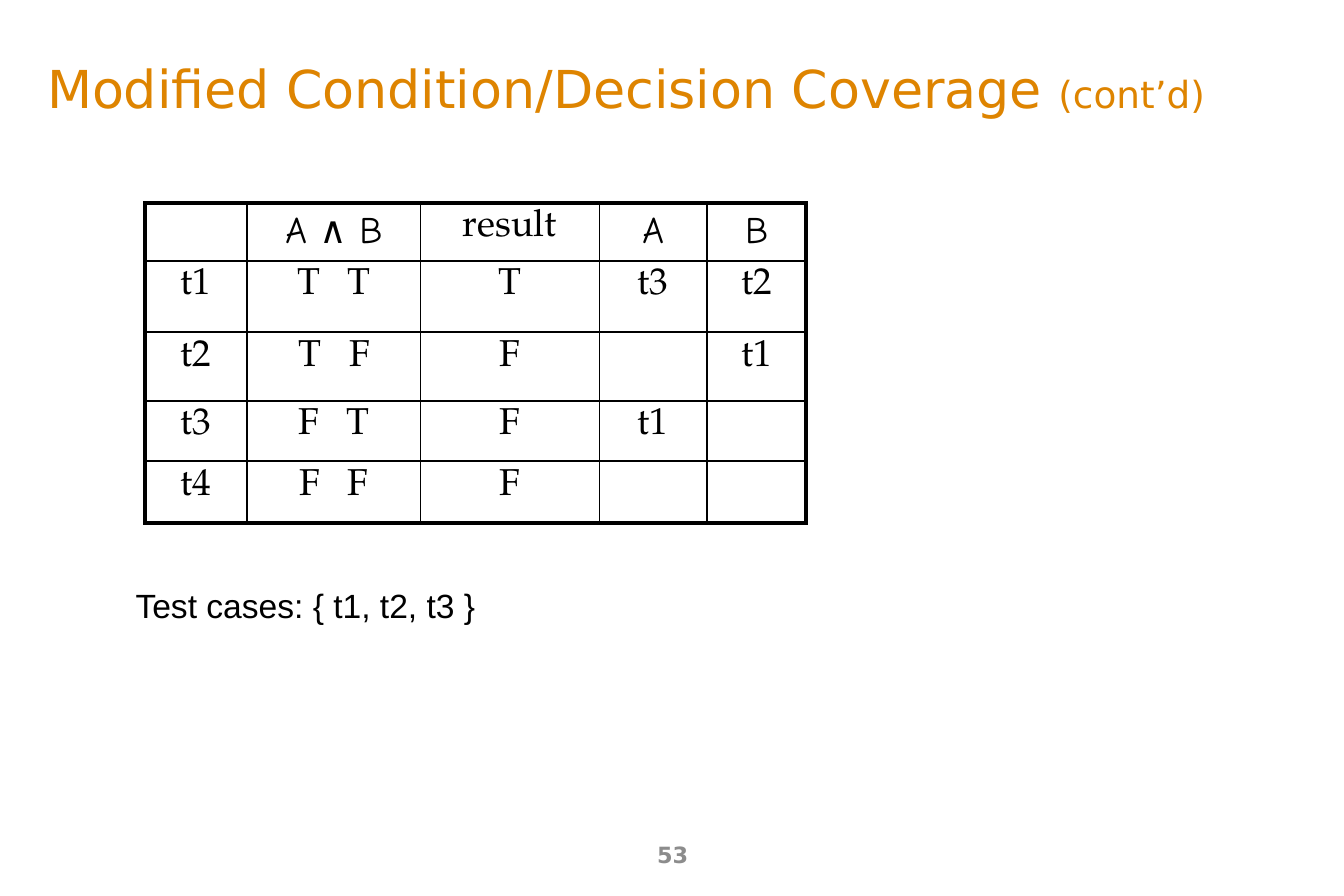
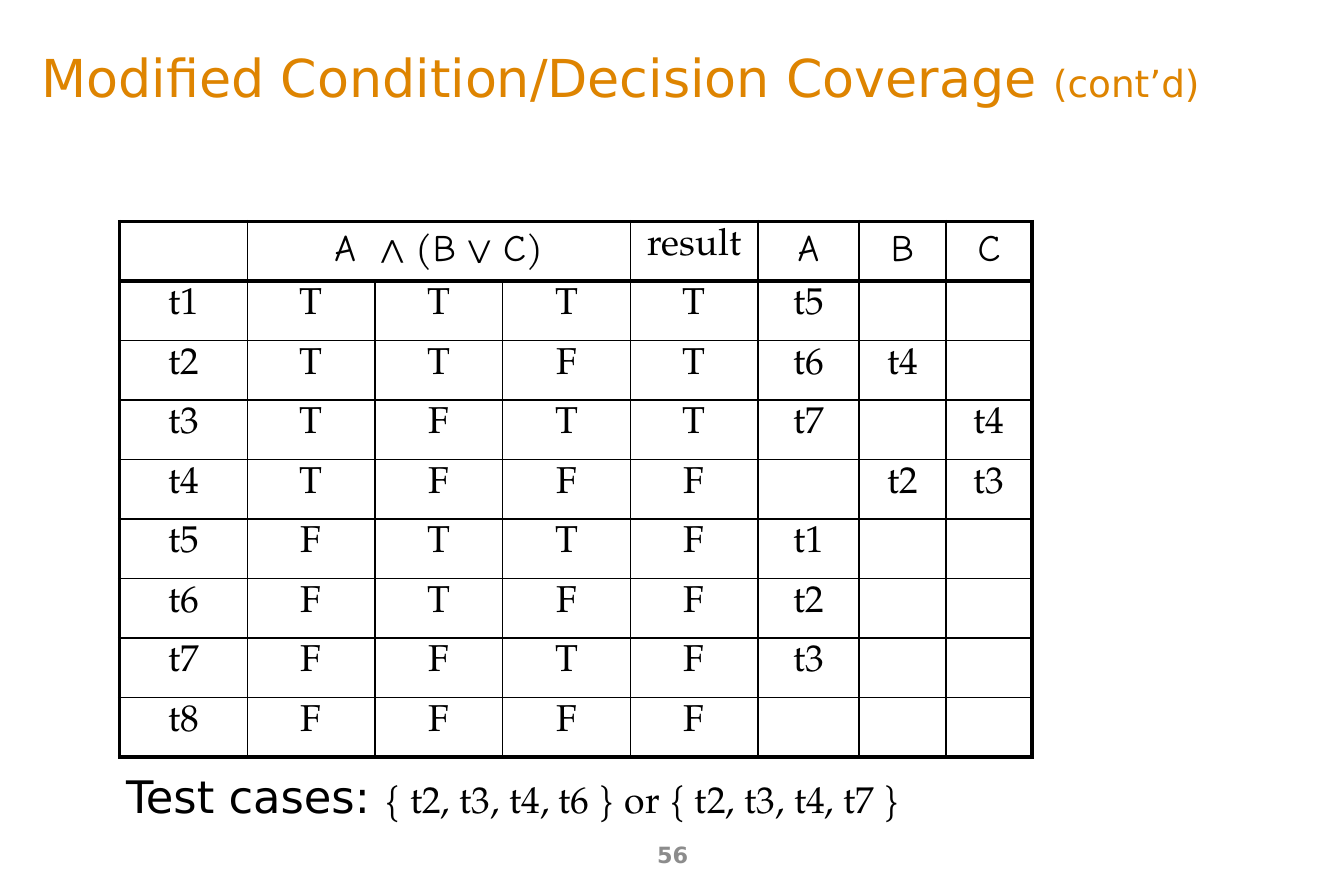
from typing import NamedTuple

from lxml import etree
from pptx import Presentation
from pptx.dml.color import RGBColor
from pptx.enum import text
from pptx.oxml import ns
from pptx.util import Inches, Pt

BLACK, ORANGE, GREY = "000000", "DE8400", "8C8C8C"
SANS, HAND, SERIF, PLAIN = "DejaVu Sans", "Comic Neue", "TeX Gyre Pagella", "Arial"
TITLE_ONLY = 5
THIN, THICK = 1, 2.25
CENTER = text.PP_ALIGN.CENTER


class Frame(NamedTuple):
    left: float
    top: float
    width: float
    height: float

    def lengths(self) -> list:
        return [Inches(value) for value in self]


class Span(NamedTuple):
    text: str
    size: float = 20
    font: str = SERIF
    color: str = BLACK
    bold: bool = False
    tracking: float = 0  # extra points after each letter


class TruthTable(NamedTuple):
    left: float
    top: float
    columns: list[float]
    rows: list[float]
    cells: list[list]  # each cell is a plain string or a list of spans
    header_rule: float = THIN
    merged: tuple[int, int] | None = None  # first and last header column to join


class CoveragePage(NamedTuple):
    number: str
    title_frame: Frame
    table: TruthTable
    cases_frame: Frame
    cases: list[Span]


NUMBER_FRAME = Frame(3.42, 6.18, 3.17, 0.36)
TITLE = [
    Span("Modified Condition/Decision Coverage ", 28, SANS, ORANGE),
    Span("(cont’d)", 20, SANS, ORANGE),
]


def hand(letters: str) -> list[Span]:
    return [Span(letters, font=HAND)]


def pair(first: str, second: str) -> list[Span]:
    """Two truth values set apart by one widened space."""
    return [Span(first), Span(" ", tracking=10), Span(second)]


PAGES = [
    CoveragePage(
        "53",
        Frame(0.25, 0.27, 9.46, 0.76),
        TruthTable(
            1.08, 1.51,
            [0.76, 1.29, 1.33, 0.8, 0.74],
            [0.39, 0.53, 0.51, 0.45, 0.46],
            [
                ["", hand("A ∧ B"), "result", hand("A"), hand("B")],
                ["t1", pair("T", "T"), "T", "t3", "t2"],
                ["t2", pair("T", "F"), "F", "", "t1"],
                ["t3", pair("F", "T"), "F", "t1", ""],
                ["t4", pair("F", "F"), "F", "", ""],
            ],
        ),
        Frame(0.91, 4.34, 4.95, 0.37),
        [Span("Test cases: { t1, t2, t3 }", 18, PLAIN)],
    ),
    CoveragePage(
        "56",
        Frame(0.21, 0.27, 9.51, 0.6),
        TruthTable(
            0.89, 1.65,
            [0.95] * 5 + [0.75, 0.65, 0.64],
            [0.443] * 9,
            [
                ["", hand("A ") + [Span(" ∧ (")] + hand("B") + [Span(" ∨ ")]
                 + hand("C") + [Span(")")], "", "", "result",
                 hand("A"), hand("B"), hand("C")],
                ["t1", "T", "T", "T", "T", "t5", "", ""],
                ["t2", "T", "T", "F", "T", "t6", "t4", ""],
                ["t3", "T", "F", "T", "T", "t7", "", "t4"],
                ["t4", "T", "F", "F", "F", "", "t2", "t3"],
                ["t5", "F", "T", "T", "F", "t1", "", ""],
                ["t6", "F", "T", "F", "F", "t2", "", ""],
                ["t7", "F", "F", "T", "F", "t3", "", ""],
                ["t8", "F", "F", "F", "F", "", "", ""],
            ],
            header_rule=THICK,
            merged=(1, 3),
        ),
        Frame(0.84, 5.72, 8.38, 0.46),
        [Span("Test cases: ", 24, SANS),
         Span("{ t2, t3, t4, t6 } or { t2, t3, t4, t7 }")],
    ),
]


def rgb(value: str) -> RGBColor:
    return RGBColor.from_string(value)


def write(para, spans: list[Span], align=text.PP_ALIGN.LEFT) -> None:
    para.alignment = align
    for span in spans:
        run = para.add_run()
        run.text = span.text
        run.font.size = Pt(span.size)
        run.font.name = span.font
        run.font.bold = span.bold
        run.font.color.rgb = rgb(span.color)
        if span.tracking:
            run.font._element.set("spc", str(int(span.tracking * 100)))


def add_text(page, frame: Frame, spans: list[Span], align=text.PP_ALIGN.LEFT,
             anchor=text.MSO_ANCHOR.TOP):
    """Add a wrapping text box and return its paragraph."""
    box = page.shapes.add_textbox(*frame.lengths())
    box.text_frame.word_wrap = True
    box.text_frame.vertical_anchor = anchor
    para = box.text_frame.paragraphs[0]
    write(para, spans, align)
    return para


def add_title(page, frame: Frame) -> None:
    title = page.shapes.title
    title.left, title.top, title.width, title.height = frame.lengths()
    title.text_frame.auto_size = text.MSO_AUTO_SIZE.NONE
    title.text_frame.vertical_anchor = text.MSO_ANCHOR.MIDDLE
    write(title.text_frame.paragraphs[0], TITLE)


def set_borders(cell, widths: dict[str, float]) -> None:
    """Draw black cell edges; keys are L, R, T and B in that order."""
    properties = cell._tc.get_or_add_tcPr()
    for side, width in widths.items():
        line = etree.SubElement(properties, ns.qn(f"a:ln{side}"), w=str(Pt(width)))
        fill = etree.SubElement(line, ns.qn("a:solidFill"))
        etree.SubElement(fill, ns.qn("a:srgbClr"), val=BLACK)


def add_truth_table(page, spec_table: TruthTable) -> None:
    columns, rows = spec_table.columns, spec_table.rows
    frame = Frame(spec_table.left, spec_table.top, sum(columns), sum(rows))
    table = page.shapes.add_table(len(rows), len(columns), *frame.lengths()).table
    table.first_row = table.horz_banding = False
    for column, width in zip(table.columns, columns):
        column.width = Inches(width)
    for row, height in zip(table.rows, rows):
        row.height = Inches(height)

    row_rules = [THICK, spec_table.header_rule] + [THIN] * (len(rows) - 2) + [THICK]
    column_rules = [THICK] + [THIN] * (len(columns) - 1) + [THICK]
    for r, values in enumerate(spec_table.cells):
        for c, value in enumerate(values):
            cell = table.cell(r, c)
            set_borders(cell, {"L": column_rules[c], "R": column_rules[c + 1],
                               "T": row_rules[r], "B": row_rules[r + 1]})
            cell.fill.background()
            if value:
                spans = [Span(value)] if isinstance(value, str) else value
                write(cell.text_frame.paragraphs[0], spans, CENTER)
    if spec_table.merged:
        first, last = spec_table.merged
        table.cell(0, first).merge(table.cell(0, last))


def add_page(deck, content: CoveragePage) -> None:
    page = deck.slides.add_slide(deck.slide_layouts[TITLE_ONLY])
    add_text(page, NUMBER_FRAME, [Span(content.number, 12, SANS, GREY, bold=True)],
             CENTER, text.MSO_ANCHOR.MIDDLE)
    add_title(page, content.title_frame)
    add_truth_table(page, content.table)
    add_text(page, content.cases_frame, content.cases).line_spacing = 0.9


def main() -> None:
    deck = Presentation()
    deck.slide_width, deck.slide_height = Inches(10), Inches(6.67)
    for content in PAGES:
        add_page(deck, content)
    deck.save("out.pptx")


if __name__ == "__main__":
    main()
